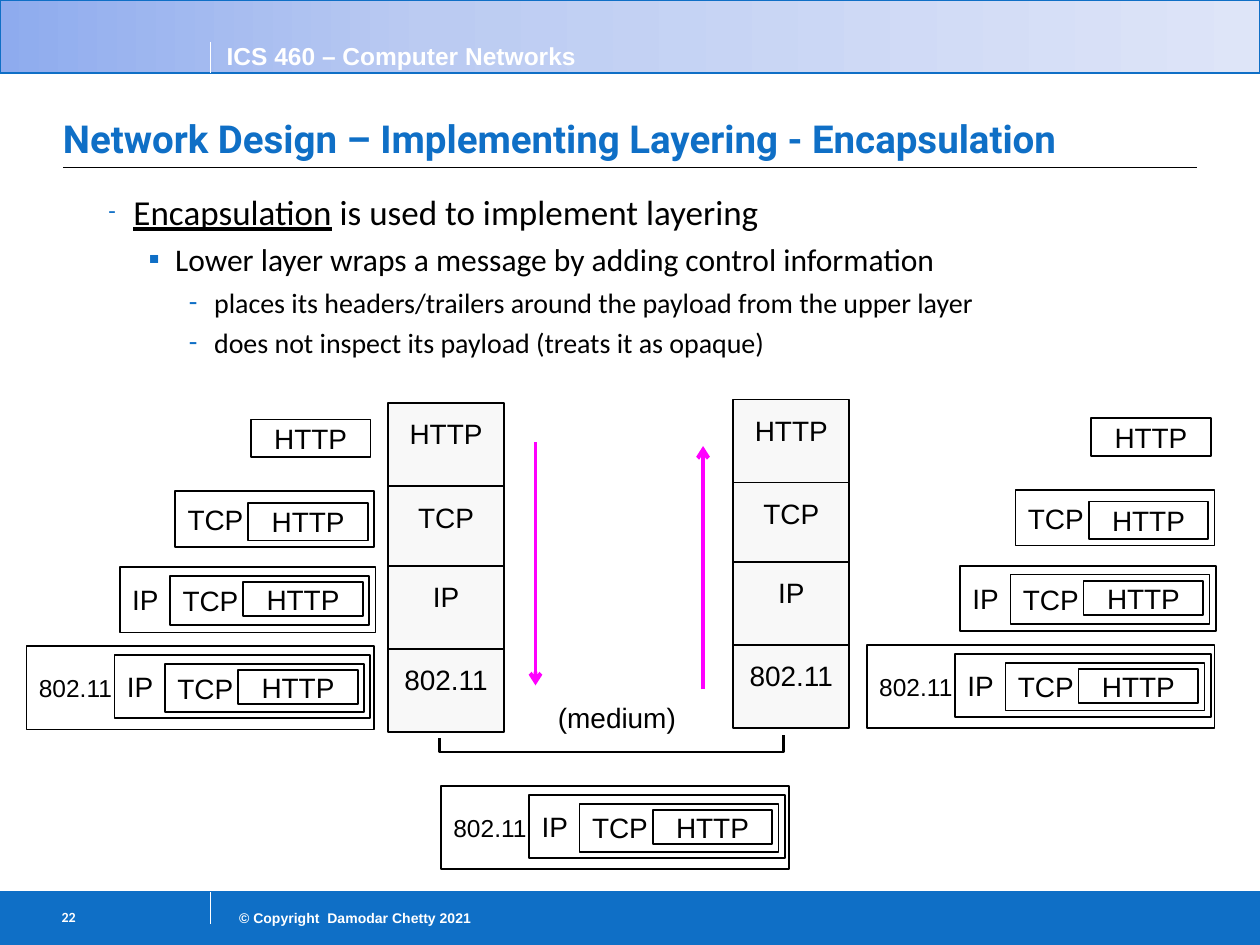
from copy import deepcopy

from lxml.etree import SubElement
from pptx import Presentation
from pptx.dml.color import RGBColor
from pptx.enum.shapes import MSO_CONNECTOR as CONN, MSO_SHAPE as SHAPE
from pptx.enum.text import MSO_ANCHOR as ANCHOR, PP_ALIGN as ALIGN
from pptx.oxml.ns import qn
from pptx.util import Inches, Pt

BLUE = RGBColor(0x0F, 0x6F, 0xC6)
WHITE = RGBColor(0xFF, 0xFF, 0xFF)
BLACK = RGBColor(0, 0, 0)
MAGENTA = RGBColor(0xFF, 0, 0xFF)
PALE = RGBColor(0xF8, 0xF8, 0xF8)
HEADER_STOPS = [(0, RGBColor(0x8E, 0xAB, 0xEE)),
                (0.34, RGBColor(0xBB, 0xCB, 0xF2)),
                (1, RGBColor(0xDE, 0xE5, 0xF8))]

STACK = [("HTTP", 0), ("TCP", 0.66), ("IP", 1.29), ("802.11", 1.95)]

# Layer: width, offset of the payload it wraps, label size
LAYERS = {"802.11": (2.76, 0.7, 0.07, 14), "IP": (2.03, 0.4, 0.07, 16),
          "TCP": (1.58, 0.58, 0.05, 16), "HTTP": (0.95, 0, 0, 16)}
NESTING = list(LAYERS)
FRAME_HEIGHTS = [0.66, 0.5, 0.38, 0.27]
# Offset in the column, heights from the outermost layer inwards
PACKETS = [(1.78, 0, [0.3]), (1.18, 0.57, [0.44, 0.3]),
           (0.74, 1.17, [0.52, 0.39, 0.27]), (0, 1.8, FRAME_HEIGHTS)]

# Text, size, left margin, indent, bullet, bullet size in percent
BULLETS = [
    ("Encapsulation is used to implement layering", 20, 0.51, -0.2, "-", 70),
    ("Lower layer wraps a message by adding control information",
     18, 0.84, -0.21, "▪", 100),
    ("places its headers/trailers around the payload from the upper layer",
     16, 1.15, -0.2, "-", 100),
    ("does not inspect its payload (treats it as opaque)",
     16, 1.15, -0.2, "-", 100),
]


def style(font, size, color=BLACK, name="Arial", bold=False):
    font.size, font.name, font.bold = Pt(size), name, bold
    font.color.rgb = color


def set_margins(tf, left, top, right, bottom):
    tf.margin_left, tf.margin_top = Inches(left), Inches(top)
    tf.margin_right, tf.margin_bottom = Inches(right), Inches(bottom)


def add_text(s, x, y, w, h, text, size, color=BLACK, name="Arial", bold=False,
             align=ALIGN.LEFT, margins=(0.1, 0.05, 0.1, 0.05)):
    tf = s.shapes.add_textbox(Inches(x), Inches(y), Inches(w), Inches(h)).text_frame
    tf.word_wrap = True
    set_margins(tf, *margins)
    p = tf.paragraphs[0]
    p.text, p.alignment = text, align
    style(p.runs[0].font, size, color, name, bold)
    return tf


def add_rect(s, x, y, w, h, fill=None, line=BLACK, width=1):
    sp = s.shapes.add_shape(SHAPE.RECTANGLE, Inches(x), Inches(y), Inches(w), Inches(h))
    sp.shadow.inherit = False
    if fill is None:
        sp.fill.background()
    else:
        sp.fill.solid()
        sp.fill.fore_color.rgb = fill
    sp.line.color.rgb, sp.line.width = line, Pt(width)
    return sp


def label(sp, text, size, align, anchor, top=0):
    tf = sp.text_frame
    tf.vertical_anchor, tf.word_wrap = anchor, True
    set_margins(tf, 0.1, top, 0.02, 0)
    p = tf.paragraphs[0]
    p.text, p.alignment = text, align
    style(p.runs[0].font, size)


def add_line(s, x1, y1, x2, y2, color, width, arrow=False):
    c = s.shapes.add_connector(CONN.STRAIGHT, Inches(x1), Inches(y1),
                               Inches(x2), Inches(y2))
    c.line.color.rgb, c.line.width = color, Pt(width)
    if arrow:
        SubElement(c.line._get_or_add_ln(), qn("a:tailEnd"), type="arrow")
    SubElement(c._element.spPr, qn("a:effectLst"))


def add_header(s, x, y, w, h):
    fill = add_rect(s, x, y, w, h, WHITE, BLUE, 0.75).fill
    fill.gradient()
    fill.gradient_angle = 0
    first = fill.gradient_stops[0]._gs
    first.addnext(deepcopy(first))
    for stop, (position, color) in zip(fill.gradient_stops, HEADER_STOPS):
        stop.position = position
        stop.color.rgb = color
    add_line(s, x, y + h, x + w, y + h, BLUE, 0.5)
    add_line(s, x + 1.67, y + h, x + 1.67, y + 0.33, WHITE, 0.75)
    add_text(s, x + 1.7, y + 0.28, 4.05, 0.34, "ICS 460 – Computer Networks",
             14, WHITE, bold=True)


def add_footer(s, x, y, w, h):
    add_rect(s, x, y, w, h, BLUE, BLUE, 0.75)
    add_line(s, x + 1.67, y + 0.25, x + 1.67, y, WHITE, 0.75)
    add_text(s, x + 1.67, y + 0.09, 2.17, 0.24, "© Copyright  Damodar Chetty 2021",
             8, WHITE, bold=True, align=ALIGN.RIGHT)
    add_text(s, x + 0.33, y + 0.06, 1.33, 0.35, "22", 8, WHITE, "Calibri", True,
             margins=(0.16, 0.07, 0.1, 0.05))


def add_title(s, x, y, w, h):
    tf = add_text(s, x, y, w, h, "Network Design – Implementing Layering - Encapsulation",
                  22, BLUE, "Roboto", True, margins=(0, 0.05, 0, 0.05))
    tf.vertical_anchor = ANCHOR.BOTTOM
    add_line(s, x, y + h, x + w, y + h, BLACK, 0.75)


def set_bullet(p, left, indent, char, percent):
    pPr = p._p.get_or_add_pPr()
    pPr.set("marL", str(Inches(left)))
    pPr.set("indent", str(Inches(indent)))
    SubElement(SubElement(pPr, qn("a:buClr")), qn("a:srgbClr"), val=str(BLUE))
    SubElement(pPr, qn("a:buSzPct"), val=str(percent * 1000))
    SubElement(pPr, qn("a:buFont"), typeface="Calibri")
    SubElement(pPr, qn("a:buChar"), char=char)


def add_bullets(s, x, y, w, h):
    tf = s.shapes.add_textbox(Inches(x), Inches(y), Inches(w), Inches(h)).text_frame
    tf.word_wrap = True
    set_margins(tf, 0.05, 0.05, 0.05, 0.05)
    for i, (text, size, left, indent, char, percent) in enumerate(BULLETS):
        p = tf.add_paragraph() if i else tf.paragraphs[0]
        p.line_spacing = 1.04
        p.space_before = Pt(size * 0.2 if i else 0)
        set_bullet(p, left, indent, char, percent)
        term, rest = ("", text) if i else text[:13], text[13:]
        if i:
            term, rest = "", text
        for part in filter(None, (term, rest)):
            r = p.add_run()
            r.text = part
            style(r.font, size, name="Calibri")
            r.font.underline = part == term


def add_stack(s, x, y):
    for name, dy in STACK:
        sp = add_rect(s, x, y + dy, 0.92, 0.66, PALE)
        label(sp, name, 16, ALIGN.CENTER, ANCHOR.TOP, 0.11)
        sp.text_frame.margin_left = Inches(0.02)


def add_packet(s, x, y, heights):
    """Nest one box per height, ending with the HTTP message."""
    for name, h in zip(NESTING[-len(heights):], heights):
        w, dx, dy, size = LAYERS[name]
        sp = add_rect(s, x, y, w, h)
        align = ALIGN.LEFT if dx else ALIGN.CENTER
        label(sp, name, size, align, ANCHOR.MIDDLE)
        if not dx:
            sp.text_frame.margin_left = sp.text_frame.margin_right
        # A lone TCP segment is taller and sets its payload lower
        x, y = x + dx, y + (0.09 if h == 0.44 else dy)


def add_packet_column(s, x, y):
    for dx, dy, heights in PACKETS:
        add_packet(s, x + dx, y + dy, heights)


def add_medium(s, x, y, w):
    """Bracket joining the two stacks, with its caption above."""
    builder = s.shapes.build_freeform(Inches(x), Inches(y + 0.03))
    builder.add_line_segments([(Inches(x), Inches(y + 0.14)),
                               (Inches(x + w), Inches(y + 0.14)),
                               (Inches(x + w), Inches(y))], close=False)
    sp = builder.convert_to_shape()
    sp.shadow.inherit = False
    sp.fill.background()
    sp.line.color.rgb, sp.line.width = BLACK, Pt(1.5)
    add_text(s, x + 0.84, y - 0.32, 1.15, 0.37, "(medium)", 16)


def main():
    prs = Presentation()
    prs.slide_width, prs.slide_height = Inches(10), Inches(7.5)
    s = prs.slides.add_slide(prs.slide_layouts[6])
    add_footer(s, 0, 7.08, 10, 0.42)
    add_header(s, 0, 0, 10, 0.58)
    add_title(s, 0.5, 0.61, 9, 0.72)
    add_bullets(s, 0.5, 1.45, 9.5, 1.5)
    add_stack(s, 3.08, 3.2)
    add_stack(s, 5.82, 3.17)
    add_packet_column(s, 0.21, 3.33)
    add_packet_column(s, 6.88, 3.32)
    add_line(s, 4.25, 3.51, 4.25, 5.44, MAGENTA, 2.25, arrow=True)
    add_line(s, 5.58, 5.47, 5.58, 3.54, MAGENTA, 2.25, arrow=True)
    add_medium(s, 3.49, 5.83, 2.73)
    add_packet(s, 3.5, 6.24, FRAME_HEIGHTS)
    prs.save("out.pptx")


if __name__ == "__main__":
    main()
